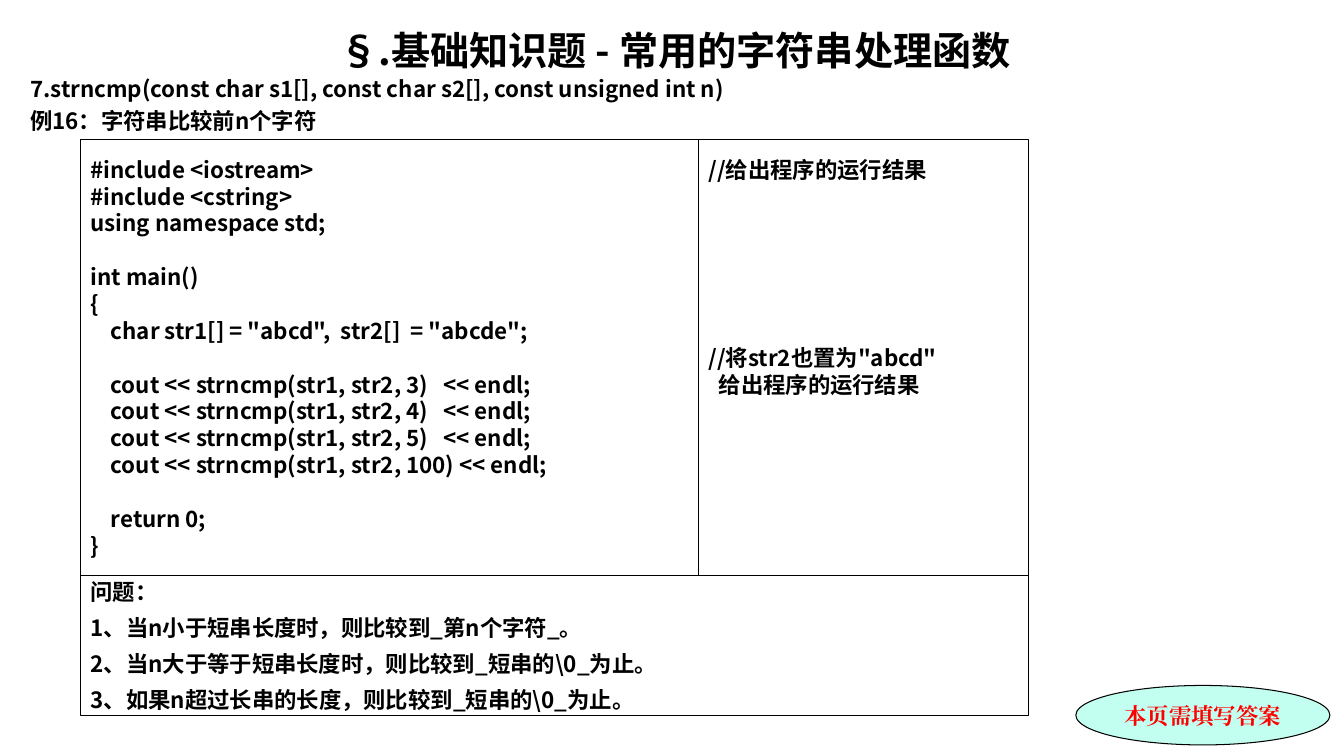
from lxml.etree import SubElement
from pptx import Presentation
from pptx.dml.color import RGBColor
from pptx.enum.shapes import MSO_SHAPE
from pptx.enum.text import MSO_ANCHOR, MSO_AUTO_SIZE, PP_ALIGN
from pptx.oxml.ns import qn
from pptx.util import Inches, Pt

COLORS = {"ink": "000000", "alert": "FF0000", "badge": "C2FFF0"}
SANS, SERIF = "Noto Sans CJK SC", "Times New Roman"
BODY, HEAD, LEADING = 16, 28, 1.2
LINE = BODY * LEADING

TITLE = "§.基础知识题 - 常用的字符串处理函数"
INTRO = [
    "7.strncmp(const char s1[], const char s2[], const unsigned int n)",
    "例16：字符串比较前n个字符",
]
CODE = """#include <iostream>
#include <cstring>
using namespace std;

int main()
{
    char str1[] = "abcd",  str2[]  = "abcde";

    cout << strncmp(str1, str2, 3)   << endl;
    cout << strncmp(str1, str2, 4)   << endl;
    cout << strncmp(str1, str2, 5)   << endl;
    cout << strncmp(str1, str2, 100) << endl;

    return 0;
}""".split("\n")
TASKS = ["//给出程序的运行结果", *[""] * 6, '//将str2也置为"abcd"', "  给出程序的运行结果"]
QUESTIONS = [
    "问题：",
    "1、当n小于短串长度时，则比较到_第n个字符_。",
    "2、当n大于等于短串长度时，则比较到_短串的\\0_为止。",
    "3、如果n超过长串的长度，则比较到_短串的\\0_为止。",
]
BADGE = "本页需填写答案"

LEFT, SPLIT, RIGHT = 0.8, 6.93, 10.2
TOP, MIDDLE, BOTTOM = 1.38, 5.71, 7.1
MARGIN, WIDTH = 0.2, 12.99


def rgb(name):
    return RGBColor.from_string(COLORS[name])


def write(s, lines, size=BODY, font=SANS, color="ink", gap=0,
          align=PP_ALIGN.LEFT, anchor=MSO_ANCHOR.MIDDLE):
    tf = s.text_frame
    tf.word_wrap = True
    tf.auto_size = MSO_AUTO_SIZE.NONE
    tf.vertical_anchor = anchor
    blanks = 0
    for i, line in enumerate(lines):
        if not line:
            blanks += 1
            continue
        p = tf.add_paragraph() if i else tf.paragraphs[0]
        p.text = line
        p.alignment = align
        p.line_spacing = Pt(size * LEADING)
        p.space_before = Pt(gap + blanks * LINE if i else 0)
        blanks = 0
        for r in p.runs:
            r.font.size, r.font.bold, r.font.name = Pt(size), True, font
            r.font.color.rgb = rgb(color)
            SubElement(r.font._element, qn("a:ea"), typeface=font)
    return tf


def add_outline(kind, left, top, width, height, fill=None):
    s = slide.shapes.add_shape(kind, *map(Inches, (left, top, width, height)))
    s.shadow.inherit = False
    if fill:
        s.fill.solid()
        s.fill.fore_color.rgb = rgb(fill)
    else:
        s.fill.background()
    s.line.color.rgb = rgb("ink")
    s.line.width = Pt(0.75)
    return s


def add_panel(left, top, right, bottom):
    return add_outline(MSO_SHAPE.RECTANGLE, left, top, right - left, bottom - top)


prs = Presentation()
prs.slide_width, prs.slide_height = Inches(13.33), Inches(7.5)
slide = prs.slides.add_slide(prs.slide_layouts[5])

title = slide.shapes.title
title.left, title.top, title.width, title.height = map(Inches, (MARGIN, 0.21, WIDTH, 0.5))
write(title, [TITLE], size=HEAD, align=PP_ALIGN.CENTER, anchor=MSO_ANCHOR.TOP)

intro = slide.shapes.add_textbox(*map(Inches, (MARGIN, 0.7, WIDTH, 0.66)))
write(intro, INTRO, gap=BODY * 0.2, anchor=MSO_ANCHOR.TOP)

badge = add_outline(MSO_SHAPE.OVAL, 10.67, 6.8, 2.52, 0.59, "badge")
write(badge, [BADGE], font=SERIF, color="alert", align=PP_ALIGN.CENTER)

write(add_panel(LEFT, TOP, SPLIT, MIDDLE), CODE)
write(add_panel(LEFT, MIDDLE, RIGHT, BOTTOM), QUESTIONS, gap=6.7)
tf = write(add_panel(SPLIT, TOP, RIGHT, MIDDLE), TASKS, anchor=MSO_ANCHOR.TOP)
tf.margin_top = (Inches(MIDDLE - TOP) - Pt(LINE * len(CODE))) // 2

prs.save("out.pptx")
